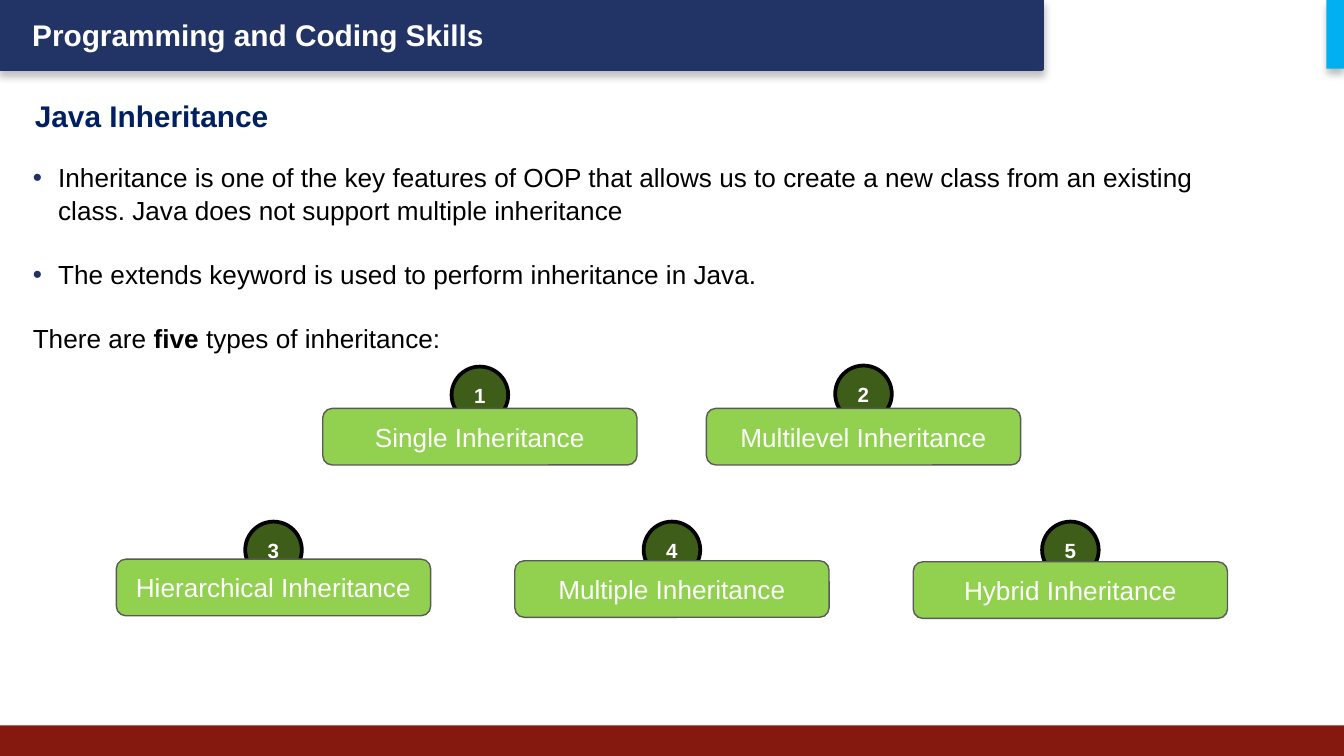
from lxml.etree import SubElement
from pptx import Presentation
from pptx.dml.color import RGBColor
from pptx.enum.shapes import MSO_SHAPE
from pptx.enum.text import MSO_ANCHOR, PP_ALIGN
from pptx.oxml.ns import qn
from pptx.util import Cm, Pt

COLORS = {
    "navy": "223366", "red": "851910", "sky": "00B0F0", "title": "002060",
    "bullet": "213163", "forest": "3D5D19", "lime": "92D050",
    "gray": "595959", "black": "000000", "white": "FFFFFF",
}
W, H = 25.4, 14.29

prs = Presentation()
prs.slide_width, prs.slide_height = Cm(W), Cm(H)
s = prs.slides.add_slide(prs.slide_layouts[6])


def add_block(kind, box, fill, line=None, width=0):
    """Add a filled shape without shadow; box is left, top, width, height in cm."""
    sp = s.shapes.add_shape(kind, *[Cm(v) for v in box])
    sp.shadow.inherit = False
    sp.fill.solid()
    sp.fill.fore_color.rgb = RGBColor.from_string(COLORS[fill])
    if line:
        sp.line.color.rgb = RGBColor.from_string(COLORS[line])
        sp.line.width = Pt(width)
    else:
        sp.line.fill.background()
    return sp


def add_run(p, text, size, color, bold=False):
    r = p.add_run()
    r.text = text
    r.font.name = "Arial"
    r.font.size = Pt(size)
    r.font.bold = bold
    r.font.color.rgb = RGBColor.from_string(COLORS[color])


# Header and footer bars
header = add_block(MSO_SHAPE.RECTANGLE, (0, 0, 19.69, 1.3), "navy", "navy", 2)
add_block(MSO_SHAPE.RECTANGLE, (0, 13.71, W, H - 13.71), "red")
accent = add_block(MSO_SHAPE.RECTANGLE, (25.07, 0, 0.33, 1.3), "sky")
for sp in (header, accent):
    effects = sp._element.spPr.find(qn("a:effectLst"))
    shadow = SubElement(effects, qn("a:outerShdw"), blurRad=str(Pt(4)),
                        dist=str(Pt(3)), dir="5400000", rotWithShape="0")
    color = SubElement(shadow, qn("a:srgbClr"), val=COLORS["black"])
    SubElement(color, qn("a:alpha"), val="25000")

# Headings
for text, box, color in (
    ("Programming and Coding Skills", (0.36, 0.18, 11, 0.94), "white"),
    ("Java Inheritance", (0.41, 1.7, 10.24, 0.97), "title"),
):
    tf = s.shapes.add_textbox(*[Cm(v) for v in box]).text_frame
    tf.word_wrap = True
    tf.vertical_anchor = MSO_ANCHOR.MIDDLE
    add_run(tf.paragraphs[0], text, 16, color, True)

# Body text
tf = s.shapes.add_textbox(Cm(0.43), Cm(2.92), Cm(22.43), Cm(3.78)).text_frame
tf.word_wrap = True
tf.margin_left = tf.margin_right = Cm(0.19)
tf.margin_top = tf.margin_bottom = Cm(0.1)
body = (
    (True, [("Inheritance is one of the key features of OOP that allows us to "
             "create a new class from an existing class. Java does not support "
             "multiple inheritance", False)]),
    (True, [("The extends keyword is used to perform inheritance in Java.", False)]),
    (False, [("There are ", False), ("five", True),
             (" types of inheritance:", False)]),
)
for i, (bulleted, runs) in enumerate(body):
    p = tf.add_paragraph() if i else tf.paragraphs[0]
    if bulleted:
        pPr = p._p.get_or_add_pPr()
        pPr.set("marL", str(Cm(0.48)))
        pPr.set("indent", str(-Cm(0.48)))
        color = SubElement(pPr, qn("a:buClr"))
        SubElement(color, qn("a:srgbClr"), val=COLORS["bullet"])
        SubElement(pPr, qn("a:buFont"), typeface="Arial")
        SubElement(pPr, qn("a:buChar"), char="•")
    p.line_spacing = 1.05
    if i:
        p.space_before = Pt(16.8)
    for text, bold in runs:
        add_run(p, text, 14, "black", bold)

# Inheritance types: label, left, top of the card, top of the number badge
CARD_W, CARD_H, BADGE = 5.94, 1.07, 1.07
cards = (
    ("Single Inheritance", 6.1, 7.72, 6.93),
    ("Multilevel Inheritance", 13.35, 7.72, 6.91),
    ("Hierarchical Inheritance", 2.2, 10.57, 9.86),
    ("Multiple Inheritance", 9.73, 10.6, 9.86),
    ("Hybrid Inheritance", 17.26, 10.62, 9.86),
)
for number, (label, left, top, badge_top) in enumerate(cards, 1):
    badge_left = left + (CARD_W - BADGE) / 2
    badge = add_block(MSO_SHAPE.OVAL, (badge_left, badge_top, BADGE, BADGE),
                      "forest", "black", 2)
    card = add_block(MSO_SHAPE.ROUNDED_RECTANGLE, (left, top, CARD_W, CARD_H),
                     "lime", "gray", 0.75)
    for sp, text, size, bold in ((badge, str(number), 11, True),
                                 (card, label, 14, False)):
        tf = sp.text_frame
        tf.margin_left = tf.margin_right = tf.margin_top = tf.margin_bottom = 0
        tf.vertical_anchor = MSO_ANCHOR.MIDDLE
        p = tf.paragraphs[0]
        p.alignment = PP_ALIGN.CENTER
        add_run(p, text, size, "white", bold)

prs.save("out.pptx")
